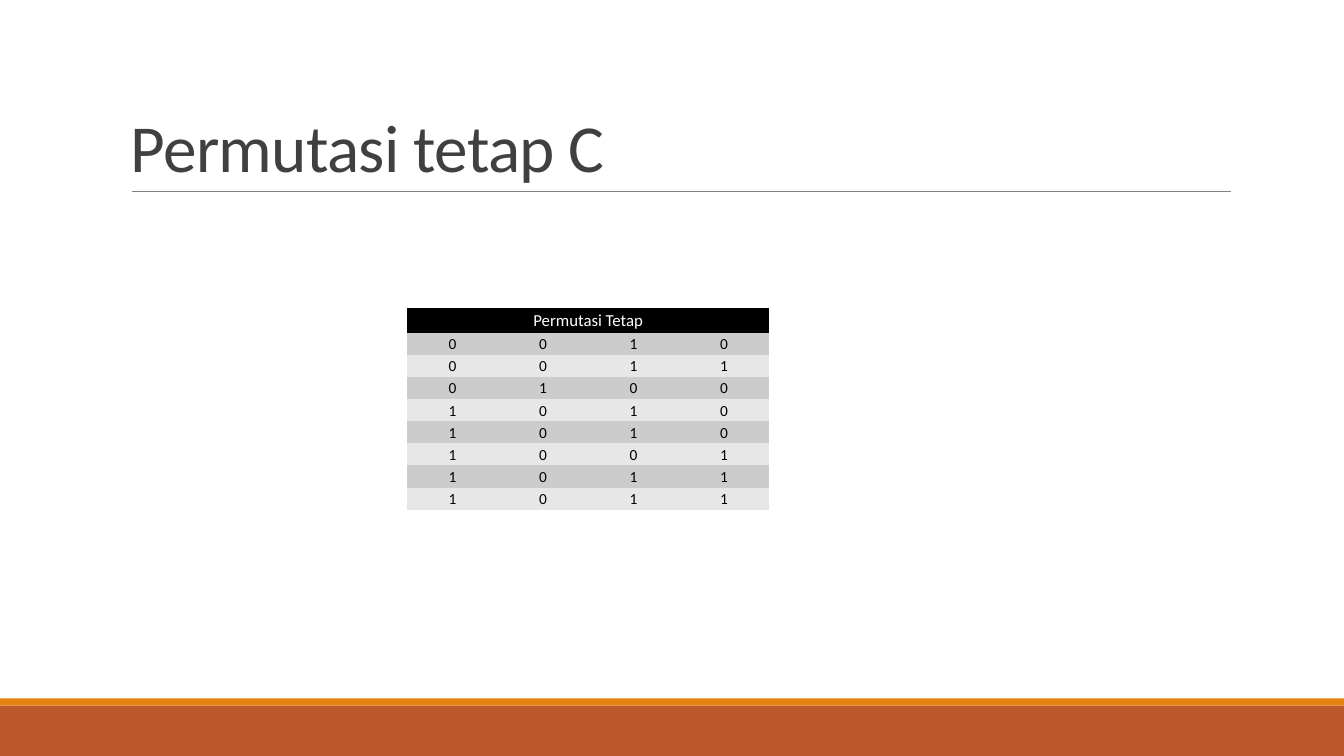
from dataclasses import dataclass

from pptx import Presentation
from pptx.dml.color import RGBColor
from pptx.enum import shapes, text
from pptx.oxml import ns
from pptx.slide import Slide
from pptx.table import _Cell as Cell
from pptx.text.text import _Paragraph as Paragraph
from pptx.util import Inches, Pt
from lxml import etree

FONT = "Calibri"
WHITE = RGBColor(0xFF, 0xFF, 0xFF)
BLACK = RGBColor(0, 0, 0)
TITLE_GRAY = RGBColor(0x40, 0x40, 0x40)
RULE_GRAY = RGBColor(0x80, 0x80, 0x80)
RUST = RGBColor(0xBD, 0x58, 0x2C)
ORANGE = RGBColor(0xE4, 0x83, 0x12)
BANDS = (RGBColor(0xCC, 0xCC, 0xCC), RGBColor(0xE7, 0xE7, 0xE7))
PLAIN_TABLE_STYLE = "{2D5ABB26-0587-4C30-8999-92F81FD0307C}"
SLIDE_WIDTH = Inches(13.33)
PERMUTATION = ("0010", "0011", "0100", "1010", "1010", "1001", "1011", "1011")


@dataclass(frozen=True)
class FooterBar:
    """A full-width bar at the foot of the slide."""

    top: float
    height: float
    color: RGBColor


FOOTER_BARS = (FooterBar(7, 0.5, RUST), FooterBar(6.93, 0.07, ORANGE))


def format_paragraph(paragraph: Paragraph, size: float, color: RGBColor, spacing: float) -> None:
    """Set the line spacing and font of a paragraph."""
    paragraph.line_spacing = spacing
    for run in paragraph.runs:
        run.font.name = FONT
        run.font.size = Pt(size)
        run.font.color.rgb = color


def draw_footer_bar(slide: Slide, bar: FooterBar) -> None:
    """Draw one footer bar."""
    shape = slide.shapes.add_shape(
        shapes.MSO_SHAPE.RECTANGLE, 0, Inches(bar.top), SLIDE_WIDTH, Inches(bar.height)
    )
    shape.shadow.inherit = False
    shape.fill.solid()
    shape.fill.fore_color.rgb = bar.color
    shape.line.fill.background()


def draw_title_rule(slide: Slide) -> None:
    """Draw the thin line under the title."""
    rule = slide.shapes.add_connector(
        shapes.MSO_CONNECTOR.STRAIGHT, Inches(1.31), Inches(1.9), Inches(12.21), Inches(1.9)
    )
    rule.line.color.rgb = RULE_GRAY
    rule.line.width = Pt(0.5)
    etree.SubElement(rule.element.spPr, ns.qn("a:effectLst"))


def draw_title(slide: Slide, title: str) -> None:
    """Draw the title, resting on its rule."""
    box = slide.shapes.add_textbox(Inches(1.2), Inches(0.31), Inches(11), Inches(1.59))
    frame = box.text_frame
    frame.word_wrap = True
    frame.vertical_anchor = text.MSO_ANCHOR.BOTTOM
    frame.text = title
    paragraph = frame.paragraphs[0]
    format_paragraph(paragraph, 48, TITLE_GRAY, 0.85)
    paragraph.runs[0].font._element.set("spc", "-50")


def fill_cell(cell: Cell, content: str, size: float, color: RGBColor, fill: RGBColor) -> None:
    """Write and format one table cell."""
    cell.fill.solid()
    cell.fill.fore_color.rgb = fill
    cell.vertical_anchor = text.MSO_ANCHOR.MIDDLE
    cell.margin_left = cell.margin_right = Inches(0.01)
    cell.margin_top = cell.margin_bottom = Inches(0.01)
    cell.text_frame.text = content
    paragraph = cell.text_frame.paragraphs[0]
    paragraph.alignment = text.PP_ALIGN.CENTER
    format_paragraph(paragraph, size, color, 1.07)


def draw_permutation_table(slide: Slide, heading: str) -> None:
    """Draw the permutation bits under a merged heading row."""
    columns = len(PERMUTATION[0])
    frame = slide.shapes.add_table(
        len(PERMUTATION) + 1, columns, Inches(4.04), Inches(3.06), Inches(3.59), Inches(2)
    )
    table = frame.table
    frame.element.find(".//" + ns.qn("a:tableStyleId")).text = PLAIN_TABLE_STYLE
    for row in table.rows:
        row.height = Inches(0.22)
    table.rows[0].height = Inches(0.24)
    table.cell(0, 0).merge(table.cell(0, columns - 1))
    fill_cell(table.cell(0, 0), heading, 12, WHITE, BLACK)
    for index, bits in enumerate(PERMUTATION):
        for column, bit in enumerate(bits):
            fill_cell(table.cell(index + 1, column), bit, 11, BLACK, BANDS[index % 2])


def main() -> None:
    """Build and save the slide."""
    presentation = Presentation()
    presentation.slide_width = SLIDE_WIDTH
    presentation.slide_height = Inches(7.5)
    slide = presentation.slides.add_slide(presentation.slide_layouts[6])
    for bar in FOOTER_BARS:
        draw_footer_bar(slide, bar)
    draw_title_rule(slide)
    draw_title(slide, "Permutasi tetap C")
    draw_permutation_table(slide, "Permutasi Tetap")
    presentation.save("out.pptx")


main()
